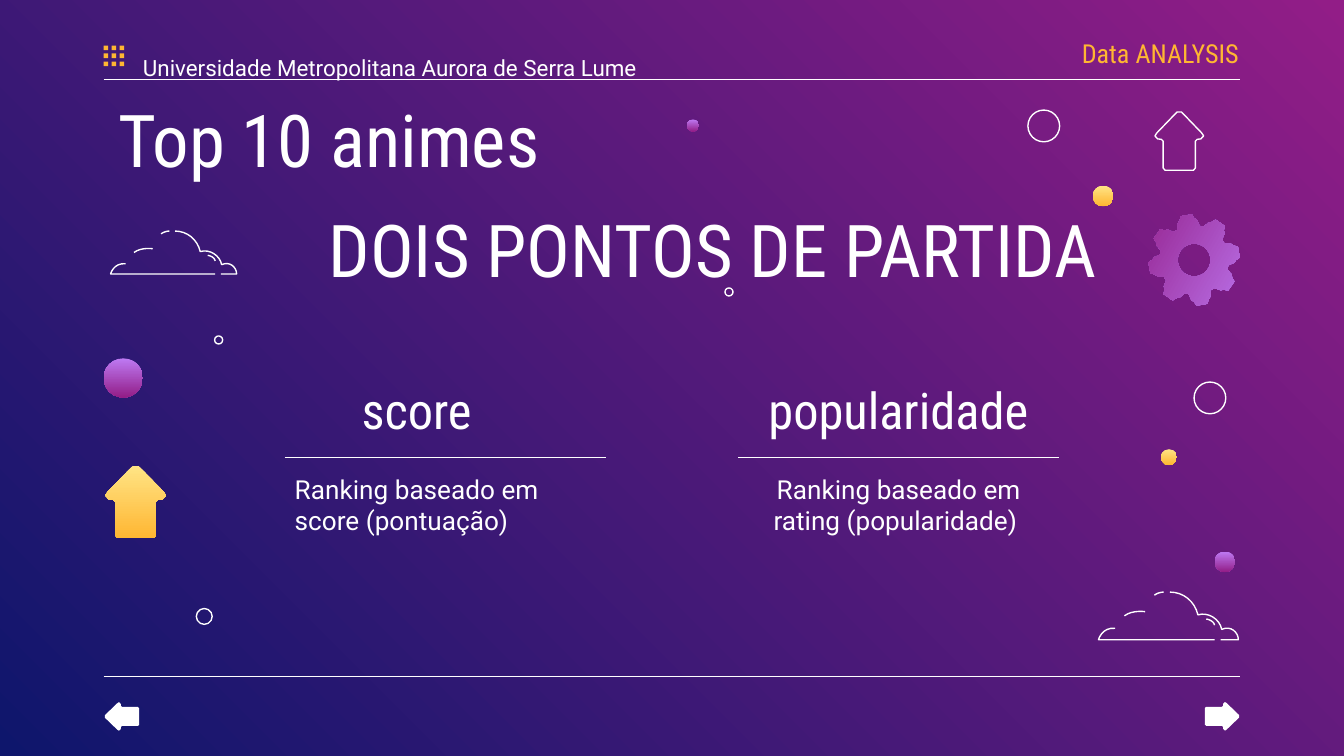
from math import cos, radians, sin

from lxml import etree
from pptx import Presentation
from pptx.dml.color import RGBColor
from pptx.enum import shapes as kinds, text as txt
from pptx.oxml.ns import qn
from pptx.util import Pt

WHITE = RGBColor(0xFF, 0xFF, 0xFF)
AMBER = RGBColor(0xFF, 0xB6, 0x32)
CREAM = RGBColor(0xFF, 0xE4, 0x85)
LILAC = RGBColor(0xBE, 0x7A, 0xF3)
PLUM = RGBColor(0x92, 0x1D, 0x87)
NAVY = RGBColor(0x0E, 0x16, 0x6C)
GOLD = (CREAM, AMBER)
VIOLET = (LILAC, PLUM)
HEAD, BODY = "Roboto Condensed", "Roboto"
LEFT, MID, RIGHT = txt.PP_ALIGN.LEFT, txt.PP_ALIGN.CENTER, txt.PP_ALIGN.RIGHT


def paint(fill, color, angle=270):
    """Fill with one colour, a pair as a gradient, or nothing."""
    if color is None:
        fill.background()
    elif isinstance(color, RGBColor):
        fill.solid()
        fill.fore_color.rgb = color
    else:
        fill.gradient()
        fill.gradient_angle = angle
        for stop, tone, spot in zip(fill.gradient_stops, color, (0, 1)):
            stop.color.rgb = tone
            stop.position = spot


def write(box, words, face, size, align=LEFT, color=WHITE):
    frame = box.text_frame
    frame.text = words
    frame.word_wrap = True
    frame.auto_size = txt.MSO_AUTO_SIZE.NONE
    frame.vertical_anchor = txt.MSO_ANCHOR.TOP
    frame.margin_left = frame.margin_right = Pt(7.2)
    frame.margin_top = frame.margin_bottom = Pt(7.2)
    para = frame.paragraphs[0]
    para.alignment = align
    para.space_before = Pt(0)
    props = para._p.get_or_add_pPr()
    props.set("marL", "0")
    props.set("indent", "0")
    etree.SubElement(props, qn("a:buNone"))
    if "\t" in words:
        tabs = etree.SubElement(props, qn("a:tabLst"))
        etree.SubElement(tabs, qn("a:tab"), pos=str(Pt(72)), algn="l")
    font = para.font
    font.name, font.size, font.bold = face, Pt(size), False
    font.color.rgb = color


deck = Presentation()
deck.slide_width, deck.slide_height = Pt(720), Pt(405)
slide = deck.slides.add_slide(deck.slide_layouts.get_by_name("Comparison"))
paint(slide.background.fill, (PLUM, NAVY), 225)
draw = slide.shapes

# Rules: header, footer, one under each column head
for x1, x2, y in [(55.5, 664.5, 42.5), (55.5, 664.5, 362.5),
                  (152.5, 324.5, 245), (395.5, 567.5, 245)]:
    rule = draw.add_connector(kinds.MSO_CONNECTOR.STRAIGHT, Pt(x1), Pt(y), Pt(x2), Pt(y))
    rule.line.color.rgb = WHITE
    rule.line.width = Pt(0.75)
    etree.SubElement(rule._element.spPr, qn("a:effectLst"))

# Title and the two columns
for idx, words, face, size, align, area in [
    (0, "Top 10 animes", HEAD, 39, LEFT, (56.3, 43.7, 608, 47.5)),
    (1, "\tscore", HEAD, 27, LEFT, (150.5, 196, 175.5, 34.5)),
    (2, "Ranking baseado em score (pontuação)", BODY, 14, LEFT, (150.7, 246.4, 175.5, 61)),
    (3, "popularidade", HEAD, 27, MID, (393.5, 196, 175.5, 34.5)),
    (4, "Ranking baseado em rating (popularidade) ", BODY, 14, MID,
     (393.7, 246.4, 175.5, 61)),
]:
    box = slide.placeholders[idx]
    box.left, box.top, box.width, box.height = map(Pt, area)
    write(box, words, face, size, align)

# Outlines: (contours, closed, turn, fill, line)
forms = []

gear = []
for k in range(8):
    for deg, r in [(-19, 18.5), (-14, 21.5), (-10, 22.5), (-7, 24.5),
                   (7, 24.5), (10, 22.5), (14, 21.5), (19, 18.5)]:
        a = radians(45 * k + 5 + deg)
        gear.append((639.7 + r * cos(a), 139.3 + r * sin(a)))
hole = [(639.7 + 8.8 * cos(radians(a)), 139.3 + 8.8 * sin(radians(a)))
        for a in range(0, 360, 10)]
forms.append(([gear, hole], True, 120, VIOLET, None))

half = [(1.5, 0), (15, 14), (16.3, 16), (14.5, 18), (12, 18.3), (10.8, 19.5),
        (10.8, 37.5), (9.5, 39)]
arrow = half + [(-x, y) for x, y in reversed(half)]
for x, y, scale, turn, fill, line in [
    (72.7, 269, 1, 0, GOLD, None), (631.8, 75.6, 0.8, 0, None, WHITE),
    (654.6, 383.8, 0.47, 90, WHITE, None), (65.4, 383.8, 0.47, 270, WHITE, None),
]:
    ring = [(x + scale * px, y + scale * (py - 19.5)) for px, py in arrow]
    forms.append(([ring], True, turn, fill, line))

# Cloud strokes as chains of cubic curves
cloud = [
    [(34.5, 0), (41, 0), (46.5, 4.5), (48, 11), (53, 9.5), (58.5, 13), (59.5, 18),
     (64, 16), (67.5, 19.5), (67.5, 23), (65, 23), (62, 23), (59, 23)],
    [(31.5, 0), (31.5, 0), (29, 0), (27, 1.5)],
    [(56, 23), (37, 23), (19, 23), (0, 23), (0, 23), (1.5, 17), (8, 17.5)],
    [(52, 13), (52, 13), (55.5, 13.5), (56, 16)],
    [(22.5, 9.5), (22.5, 9.5), (16.5, 8.5), (12.5, 11.5)],
]
for x, y, scale in [(59.3, 123.8, 1), (588.5, 317.2, 1.11)]:
    for chain in cloud:
        curve = [chain[0]]
        for i in range(0, len(chain) - 1, 3):
            for t in [n / 8 for n in range(1, 9)]:
                mix = ((1 - t) ** 3, 3 * t * (1 - t) ** 2, 3 * t * t * (1 - t), t ** 3)
                curve.append([sum(m * p[axis] for m, p in zip(mix, chain[i:i + 4]))
                              for axis in (0, 1)])
        path = [(x + scale * px, y + scale * py) for px, py in curve]
        forms.append(([path], False, 0, None, WHITE))

looks = []
for paths, closed, turn, fill, line in forms:
    pen = None
    for path in paths:
        fine = [(100 * x, 100 * y) for x, y in path]
        if pen is None:
            pen = draw.build_freeform(*fine[0], scale=Pt(1) / 100)
        else:
            pen.move_to(*fine[0])
        pen.add_line_segments(fine[1:], close=closed)
    shape = pen.convert_to_shape()
    shape.rotation = turn
    looks.append((shape, fill, line))

# Bubbles and the dot grid
oval, rect = kinds.MSO_SHAPE.OVAL, kinds.MSO_SHAPE.RECTANGLE
spots = [(oval, *spot) for spot in [
    (585.5, 99.5, 11, GOLD, None), (622, 240.7, 8.5, GOLD, None),
    (55.5, 192, 21, VIOLET, None), (650.7, 295.5, 11, VIOLET, None),
    (368, 64, 6.5, VIOLET, None), (639.7, 204.7, 17, None, WHITE),
    (550.7, 59, 17, None, WHITE), (105.2, 326, 8.5, None, WHITE),
    (115, 180, 4.3, None, WHITE), (388.4, 154.3, 4.3, None, WHITE),
]]
spots += [(rect, 55.5 + 4.3 * i, 24.4 + 4.3 * j, 2.5, AMBER, None)
          for i in range(3) for j in range(3)]
for kind, x, y, size, fill, line in spots:
    looks.append((draw.add_shape(kind, Pt(x), Pt(y), Pt(size), Pt(size)), fill, line))

for shape, fill, line in looks:
    shape.shadow.inherit = False
    paint(shape.fill, fill)
    paint(shape.line.fill, line)
    if line:
        shape.line.width = Pt(0.75)

# Free text
for words, face, size, align, color, area in [
    ("Data ANALYSIS", HEAD, 14, RIGHT, AMBER, (555.8, 16.6, 108, 23.8)),
    ("Universidade Metropolitana Aurora de Serra Lume", BODY, 12, LEFT, WHITE,
     (69.5, 22, 293, 41)),
    ("DOIS PONTOS DE PARTIDA", HEAD, 39, LEFT, WHITE, (169, 102.5, 550.5, 62)),
]:
    box = draw.add_textbox(*map(Pt, area))
    write(box, words, face, size, align, color)
    if align == RIGHT:
        box.text_frame.margin_right = Pt(0)
        box.text_frame.vertical_anchor = txt.MSO_ANCHOR.MIDDLE

deck.save("out.pptx")
